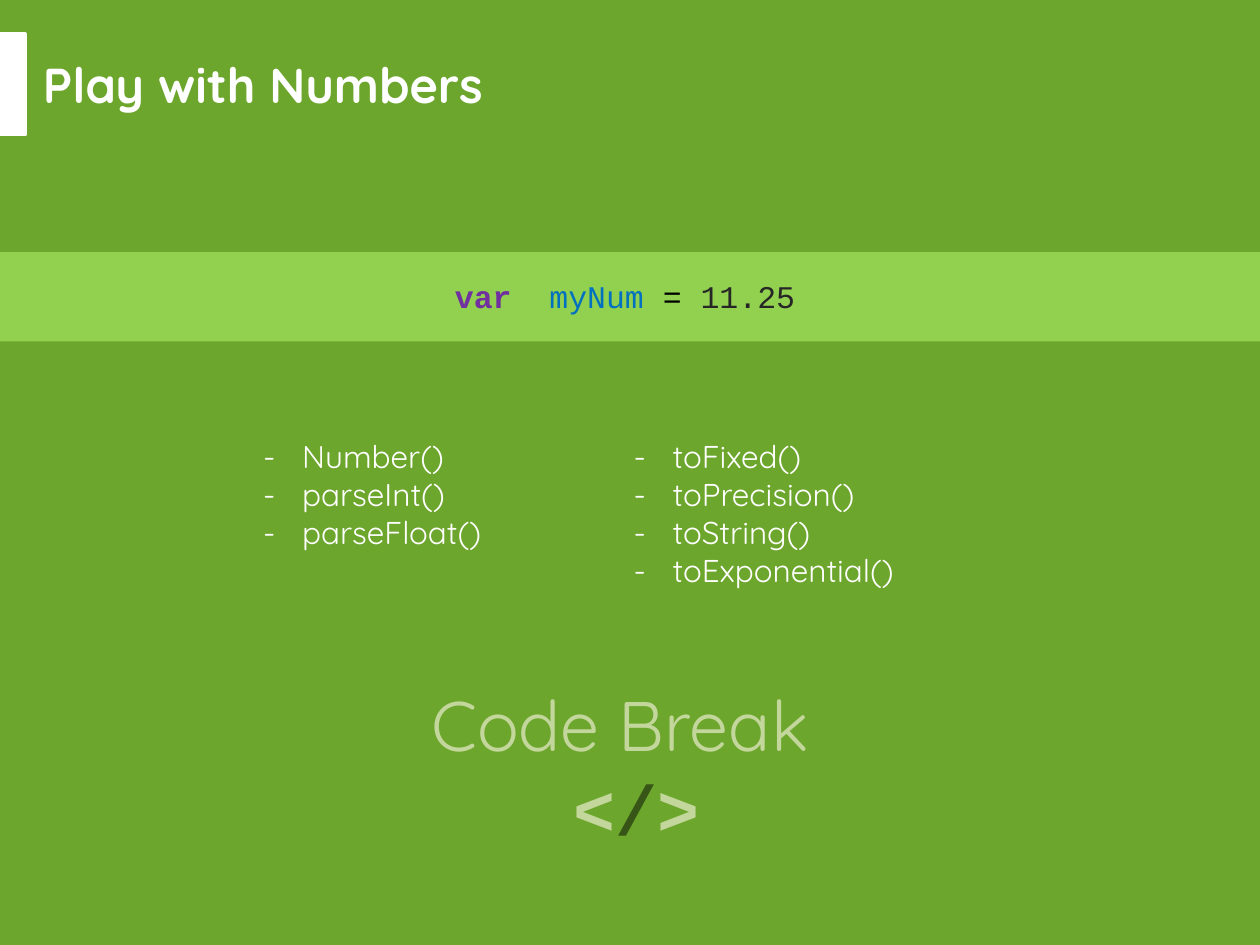
from pptx import Presentation
from pptx.dml.color import RGBColor
from pptx.enum.shapes import MSO_SHAPE as Shape
from pptx.enum.text import MSO_ANCHOR as Anchor, MSO_AUTO_SIZE as AutoSize, PP_ALIGN as Align
from pptx.oxml.ns import qn
from pptx.util import Inches, Pt
from lxml import etree

COLORS = {
    "green": "6CA62C", "band": "92D050", "white": "FFFFFF",
    "keyword": "7030A0", "variable": "0070C0", "operator": "000000",
    "number": "262626", "pale": "C3D69B", "slash": "375517",
}
SANS, MONO = "Quicksand", "Courier New"


def color(name):
    return RGBColor.from_string(COLORS[name])


def add_block(page, box, fill, line=None):
    block = page.shapes.add_shape(Shape.RECTANGLE, *map(Inches, box))
    block.shadow.inherit = False
    block.fill.solid()
    block.fill.fore_color.rgb = color(fill)
    if line:
        block.line.color.rgb = color(line)
        block.line.width = Pt(2)
    else:
        block.line.fill.background()


def add_frame(page, box):
    frame = page.shapes.add_textbox(*map(Inches, box)).text_frame
    frame.word_wrap = True
    return frame


def add_span(para, text, *, size=18, font=SANS, ink="white", bold=False):
    span = para.add_run()
    span.text = text
    span.font.size = Pt(size)
    span.font.name = font
    span.font.bold = bold
    span.font.color.rgb = color(ink)


def add_dash(para):
    props = para._p.get_or_add_pPr()
    props.set("marL", str(Inches(0.31)))
    props.set("indent", str(Inches(-0.31)))
    etree.SubElement(props, qn("a:buFont")).set("typeface", SANS)
    etree.SubElement(props, qn("a:buChar")).set("char", "-")


def place_title(page, box, text):
    title = page.shapes.title
    title.left, title.top, title.width, title.height = map(Inches, box)
    frame = title.text_frame
    frame.auto_size = AutoSize.NONE
    frame.vertical_anchor = Anchor.TOP
    para = frame.paragraphs[0]
    para.alignment = Align.LEFT
    add_span(para, text, size=28, bold=True)
    # Bring the title in front of the background
    tree = title._element.getparent()
    tree.append(title._element)


def add_code_line(page, box):
    para = add_frame(page, box).paragraphs[0]
    para.alignment = Align.CENTER
    add_span(para, "var  ", font=MONO, ink="keyword", bold=True)
    for text, ink in (("myNum", "variable"), (" = ", "operator"), ("11.25", "number")):
        add_span(para, text, font=MONO, ink=ink)


def add_code_break(page, box):
    frame = add_frame(page, box)
    label, symbol = frame.paragraphs[0], frame.add_paragraph()
    label.alignment = symbol.alignment = Align.CENTER
    add_span(label, "Code Break", size=40, ink="pale")
    add_span(symbol, " ", size=32, font=MONO, ink="pale")
    for text, ink in (("<", "pale"), ("/", "slash"), (">", "pale")):
        add_span(symbol, text, size=40, font=MONO, ink=ink, bold=True)


def add_method_list(page, box, methods):
    frame = add_frame(page, box)
    for index, method in enumerate(methods):
        para = frame.add_paragraph() if index else frame.paragraphs[0]
        add_dash(para)
        add_span(para, method)


def main():
    deck = Presentation()
    deck.slide_width, deck.slide_height = Inches(10), Inches(7.5)
    page = deck.slides.add_slide(deck.slide_layouts[5])

    # Background and code band
    add_block(page, (0, 0, 10, 7.5), "green", line="green")
    add_block(page, (0, 2, 10, 0.71), "band")

    # Title with its side marker
    place_title(page, (0.24, 0.38, 4.1, 0.57), "Play with Numbers")
    add_block(page, (0, 0.27, 0.2, 0.8), "white", line="white")

    # Code line and closing call
    add_code_line(page, (0.67, 2.15, 8.58, 0.4))
    add_code_break(page, (2.13, 5.36, 5.58, 1.45))

    # Conversion functions and number methods
    add_method_list(page, (1.99, 3.42, 2.43, 1.01),
                    ("Number()", "parseInt()", "parseFloat()"))
    add_method_list(page, (4.93, 3.42, 2.43, 1.31),
                    ("toFixed()", "toPrecision()", "toString()", "toExponential()"))

    deck.save("out.pptx")


if __name__ == "__main__":
    main()
